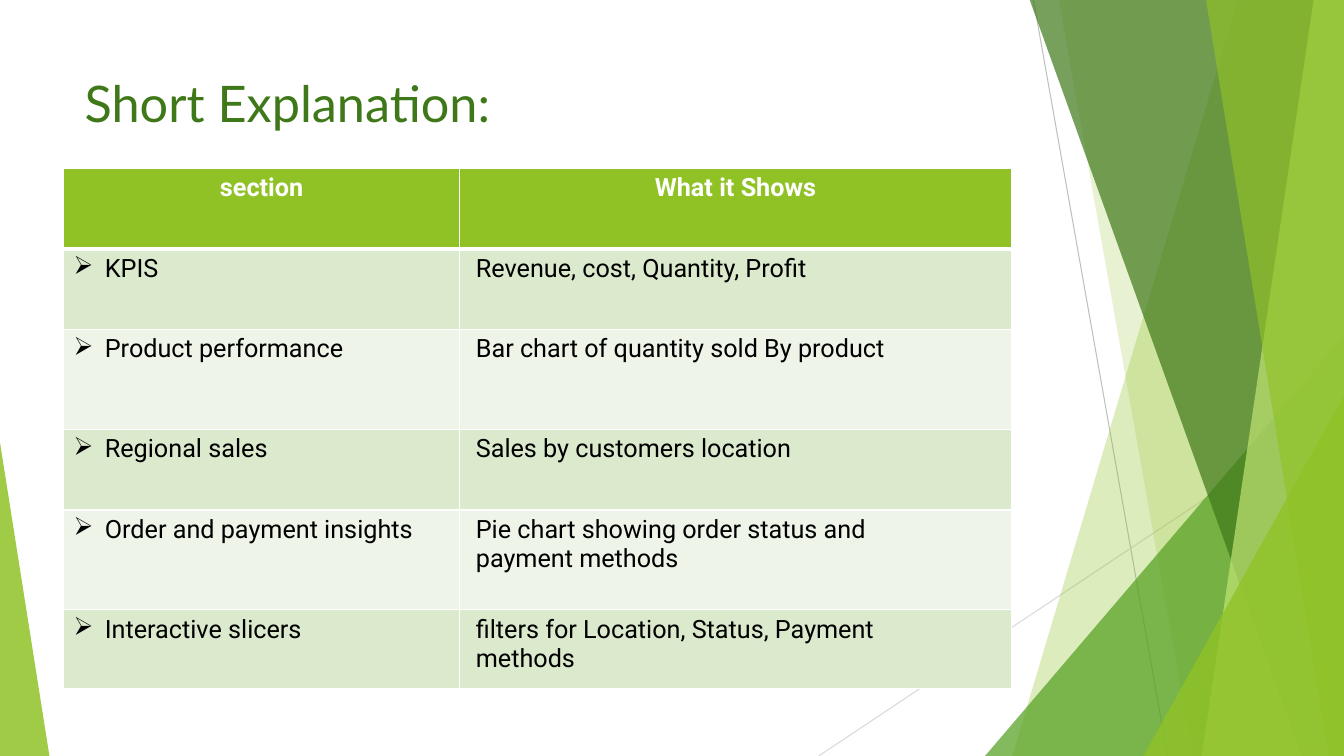
from dataclasses import dataclass

from lxml import etree
from pptx import Presentation
from pptx import util as u
from pptx.dml.color import RGBColor
from pptx.enum import shapes, text
from pptx.oxml.ns import qn

TITLE = "Short Explanation:"
HEADER = ("section", "What it Shows")
SECTIONS = [
    ("KPIS", ["Revenue, cost, Quantity, Profit"]),
    ("Product performance", ["Bar chart of quantity sold By product"]),
    ("Regional sales", ["Sales by customers location"]),
    ("Order and payment insights", ["Pie chart showing order status and", "payment methods"]),
    ("Interactive slicers", ["filters for Location, Status, Payment", "methods"]),
]


@dataclass(frozen=True)
class Theme:
    lime: str = "90C226"
    pale_lime: str = "C0E474"
    green: str = "54A021"
    dark_green: str = "3F7819"
    band_dark: str = "DBE9CD"
    band_light: str = "EEF4E8"
    gray: str = "BFBFBF"
    light_gray: str = "D9D9D9"
    white: str = "FFFFFF"
    black: str = "000000"
    title_font: str = "Lato"
    body_font: str = "Roboto"
    title_size: int = 36
    body_size: int = 18


THEME = Theme()
PX = 9144
WIDTH, HEIGHT = 1333, 750
TITLE_BOX = (74, 67, 940, 144)
TABLE_BOX = (63, 167, 940, 516)
COLUMNS = (393, 547)
ROWS = (80, 80, 99, 80, 99, 78)
CELL_MARGIN, TEXT_MARGIN, BULLET_INDENT = 10, 16, 31

THIN_LINES = [
    ((1025, 0, 1158, HEIGHT), THEME.gray),
    ((WIDTH, 403, 812, HEIGHT), THEME.light_gray),
]
DECORATIONS = [
    ("panel", (1228, 1004), THEME.lime, 30),
    ("panel", (1050, 1183), THEME.lime, 20),
    ("triangle", (977, 333, 356, 417, 1), THEME.green, 72),
    ("panel", (1021, 1291), THEME.dark_green, 70),
    ("panel", (1303, 1192), THEME.pale_lime, 70),
    ("panel", (1196, 1318), THEME.lime, 65),
    ("triangle", (1134, 393, 199, 357, 1), THEME.lime, 80),
    ("triangle", (0, 439, 49, 311, 0), THEME.lime, 85),
]


def px(*lengths):
    return [u.Emu(length * PX) for length in lengths]


def apply(target, values):
    for name, value in values.items():
        setattr(target, name, value)


def style_font(font, family, size, color, bold=False):
    apply(font, {"name": family, "size": u.Pt(size), "bold": bold})
    font.color.rgb = RGBColor.from_string(color)


def add_thin_line(slide, ends, color):
    line = slide.shapes.add_connector(shapes.MSO_CONNECTOR.STRAIGHT, *px(*ends))
    line.line.color.rgb = RGBColor.from_string(color)
    line.line.width = u.Pt(0.75)
    etree.SubElement(line._element.spPr, qn("a:effectLst"))


def add_panel(slide, edge):
    top_x, bottom_x = edge
    corners = [(top_x, -1), (WIDTH, -1), (WIDTH, HEIGHT), (bottom_x, HEIGHT)]
    points = [px(*corner) for corner in corners]
    builder = slide.shapes.build_freeform(*points[0])
    builder.add_line_segments(points[1:], close=True)
    return builder.convert_to_shape()


def add_triangle(slide, geometry):
    *box, apex = geometry
    triangle = slide.shapes.add_shape(shapes.MSO_SHAPE.ISOSCELES_TRIANGLE, *px(*box))
    triangle.adjustments[0] = apex
    return triangle


def add_decoration(slide, kind, geometry, color, opacity):
    shape = {"panel": add_panel, "triangle": add_triangle}[kind](slide, geometry)
    shape.shadow.inherit = False
    shape.line.fill.background()
    shape.fill.solid()
    shape.fill.fore_color.rgb = RGBColor.from_string(color)
    tone = shape._element.spPr.find(f"{qn('a:solidFill')}/{qn('a:srgbClr')}")
    etree.SubElement(tone, qn("a:alpha"), val=str(opacity * 1000))


def add_title(slide):
    title = slide.shapes.title
    apply(title, dict(zip(("left", "top", "width", "height"), px(*TITLE_BOX))))
    frame = title.text_frame
    apply(frame, {"text": TITLE, "word_wrap": True, "vertical_anchor": text.MSO_ANCHOR.TOP})
    para = frame.paragraphs[0]
    para.alignment = text.PP_ALIGN.LEFT
    style_font(para.runs[0].font, THEME.title_font, THEME.title_size, THEME.dark_green)


def set_borders(cell, bottom, top):
    properties = cell._tc.get_or_add_tcPr()
    widths = {"lnL": 1, "lnR": 1, "lnT": top, "lnB": bottom}
    for index, (side, width) in enumerate(widths.items()):
        border = etree.Element(qn(f"a:{side}"), w=str(u.Pt(width)))
        fill = etree.SubElement(border, qn("a:solidFill"))
        etree.SubElement(fill, qn("a:srgbClr"), val=THEME.white)
        properties.insert(index, border)


def add_bullet(para):
    properties = para._p.get_or_add_pPr()
    indent = BULLET_INDENT * PX
    properties.set("marL", str(indent))
    properties.set("indent", str(-indent))
    etree.SubElement(properties, qn("a:buChar"), char="➢")


def fill_cell(cell, lines, row, column):
    header = row == 0
    color = THEME.lime if header else (THEME.band_light, THEME.band_dark)[row % 2]
    cell.fill.solid()
    cell.fill.fore_color.rgb = RGBColor.from_string(color)
    set_borders(cell, bottom=3 if header else 1, top=3 if row == 1 else 1)
    indented = column == 1 and not header
    cell.margin_left, cell.margin_right = px(TEXT_MARGIN if indented else CELL_MARGIN, CELL_MARGIN)
    cell.vertical_anchor = text.MSO_ANCHOR.TOP
    cell.text_frame.text = "\n".join(lines)
    for para in cell.text_frame.paragraphs:
        para.alignment = text.PP_ALIGN.CENTER if header else text.PP_ALIGN.LEFT
        if column == 0 and not header:
            add_bullet(para)
        ink = THEME.white if header else THEME.black
        style_font(para.runs[0].font, THEME.body_font, THEME.body_size, ink, header)


def add_section_table(slide):
    records = [(HEADER[0], [HEADER[1]]), *SECTIONS]
    table = slide.shapes.add_table(len(ROWS), len(COLUMNS), *px(*TABLE_BOX)).table
    for column, width in zip(table.columns, px(*COLUMNS)):
        column.width = width
    for row, height in zip(table.rows, px(*ROWS)):
        row.height = height
    for index, (section, shows) in enumerate(records):
        for column, lines in enumerate(([section], shows)):
            fill_cell(table.cell(index, column), lines, index, column)


def main():
    deck = Presentation()
    deck.slide_width, deck.slide_height = px(WIDTH, HEIGHT)
    slide = deck.slides.add_slide(deck.slide_layouts[5])
    for ends, color in THIN_LINES:
        add_thin_line(slide, ends, color)
    for decoration in DECORATIONS:
        add_decoration(slide, *decoration)
    add_title(slide)
    add_section_table(slide)
    deck.save("out.pptx")


if __name__ == "__main__":
    main()
